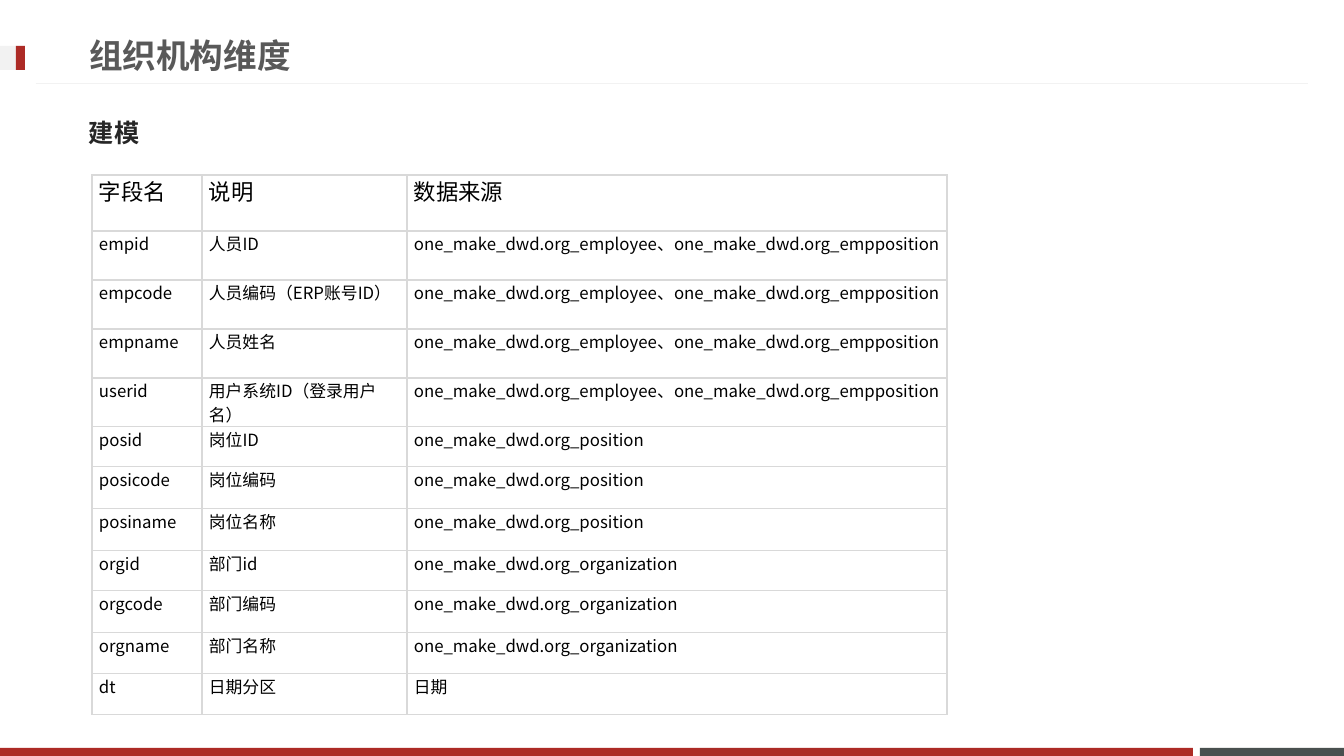
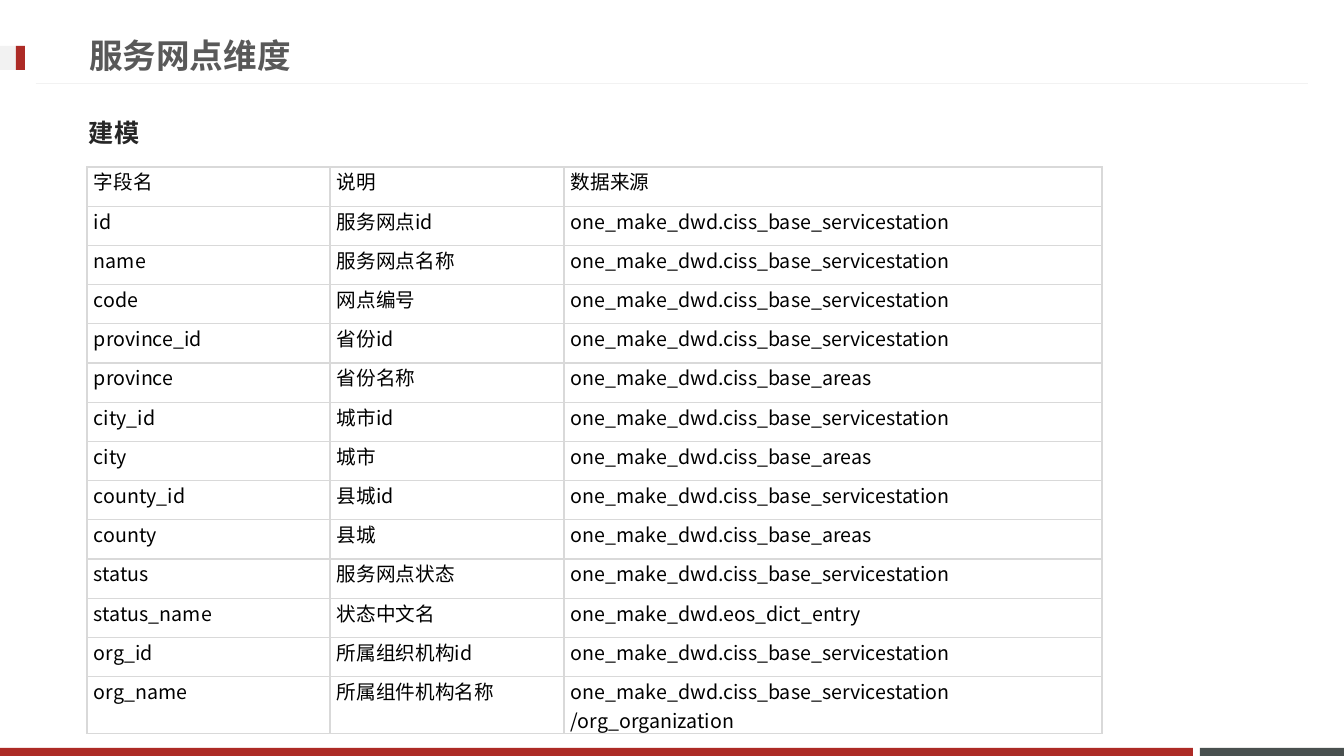
from lxml import etree
from pptx import Presentation
from pptx.dml.color import RGBColor
from pptx.enum import shapes, text
from pptx.oxml import ns
from pptx.util import Emu, Pt

# Shared look
EMU_PER_PX = 914400 / 100.8
WIDTH, HEIGHT = 1344, 756
RED = RGBColor(0xAD, 0x2B, 0x26)
SLATE = RGBColor(0x49, 0x50, 0x4F)
PALE = RGBColor(0xF2, 0xF2, 0xF2)
GRID = RGBColor(0xD9, 0xD9, 0xD9)
TITLE_GREY = RGBColor(0x59, 0x59, 0x59)
HEADING = RGBColor(0x26, 0x26, 0x26)
BLACK = RGBColor(0, 0, 0)
TITLE_FONT, HEADING_FONT, TABLE_FONT = "Roboto", "Noto Sans CJK JP", "Noto Sans CJK SC"

# Table content
HEADERS = ("字段名", "说明", "数据来源")
DWD = "one_make_dwd."
EMPLOYEE = f"{DWD}org_employee、{DWD}org_empposition"
POSITION = DWD + "org_position"
ORGANIZATION = DWD + "org_organization"
STATION = DWD + "ciss_base_servicestation"
AREAS = DWD + "ciss_base_areas"

ORG_FIELDS = [
    HEADERS,
    ("empid", "人员ID", EMPLOYEE),
    ("empcode", "人员编码（ERP账号ID）", EMPLOYEE),
    ("empname", "人员姓名", EMPLOYEE),
    ("userid", "用户系统ID（登录用户名）", EMPLOYEE),
    ("posid", "岗位ID", POSITION),
    ("posicode", "岗位编码", POSITION),
    ("posiname", "岗位名称", POSITION),
    ("orgid", "部门id", ORGANIZATION),
    ("orgcode", "部门编码", ORGANIZATION),
    ("orgname", "部门名称", ORGANIZATION),
    ("dt", "日期分区", "日期"),
]
STATION_FIELDS = [
    HEADERS,
    ("id", "服务网点id", STATION),
    ("name", "服务网点名称", STATION),
    ("code", "网点编号", STATION),
    ("province_id", "省份id", STATION),
    ("province", "省份名称", AREAS),
    ("city_id", "城市id", STATION),
    ("city", "城市", AREAS),
    ("county_id", "县城id", STATION),
    ("county", "县城", AREAS),
    ("status", "服务网点状态", STATION),
    ("status_name", "状态中文名", DWD + "eos_dict_entry"),
    ("org_id", "所属组织机构id", STATION),
    ("org_name", "所属组件机构名称", STATION + "\n/org_organization"),
]


def px(length):
    return Emu(round(length * EMU_PER_PX))


def write(frame, content, *, size, font, color, bold=False,
          anchor=text.MSO_ANCHOR.MIDDLE):
    """Fill a text frame, one paragraph per line of content."""
    frame.word_wrap = True
    frame.vertical_anchor = anchor
    frame.text = content
    for paragraph in frame.paragraphs:
        paragraph.alignment = text.PP_ALIGN.LEFT
        for run in paragraph.runs:
            run.font.size, run.font.bold = Pt(size), bold
            run.font.color.rgb = color
            run.font.name = font
            east_asian = etree.SubElement(run.font._element, ns.qn("a:ea"))
            east_asian.set("typeface", TABLE_FONT if font == TITLE_FONT else font)


def add_block(slide, left, top, width, height, color):
    block = slide.shapes.add_shape(shapes.MSO_SHAPE.RECTANGLE,
                                   px(left), px(top), px(width), px(height))
    block.shadow.inherit = False
    block.fill.solid()
    block.fill.fore_color.rgb = color
    block.line.fill.background()


def add_rule(slide, left, right, y):
    rule = slide.shapes.add_connector(shapes.MSO_CONNECTOR.STRAIGHT,
                                      px(left), px(y), px(right), px(y))
    rule.line.color.rgb = PALE
    rule.line.width = Pt(0.75)
    etree.SubElement(rule._element.spPr, ns.qn("a:effectLst"))


def add_borders(cell):
    properties = cell._tc.get_or_add_tcPr()
    for side in ("a:lnL", "a:lnR", "a:lnT", "a:lnB"):
        border = etree.SubElement(properties, ns.qn(side), w=str(Pt(1)))
        fill = etree.SubElement(border, ns.qn("a:solidFill"))
        etree.SubElement(fill, ns.qn("a:srgbClr"), val=str(GRID))


def add_field_table(slide, fields, *, left, top, widths, heights, size, header_size):
    table = slide.shapes.add_table(len(fields), len(widths), px(left), px(top),
                                   px(sum(widths)), px(sum(heights))).table
    table.first_row = table.horz_banding = False
    for column, width in zip(table.columns, widths):
        column.width = px(width)
    for index, (row, height, values) in enumerate(zip(table.rows, heights, fields)):
        row.height = px(height)
        for cell, value in zip(row.cells, values):
            cell.margin_left = cell.margin_right = px(7)
            cell.margin_top = cell.margin_bottom = 0
            add_borders(cell)
            cell.fill.background()
            write(cell.text_frame, value, size=size if index else header_size,
                  font=TABLE_FONT, color=BLACK, anchor=text.MSO_ANCHOR.TOP)
            cell.vertical_anchor = text.MSO_ANCHOR.TOP


def add_dimension_slide(deck, title, heading):
    """Title-only slide with the shared bands, title and heading."""
    slide = deck.slides.add_slide(deck.slide_layouts[5])

    # Footer bands, header rule and side tab
    add_block(slide, 1200, 748, WIDTH - 1200, 8, SLATE)
    add_block(slide, 0, 748, 1193, 8, RED)
    add_rule(slide, 36, 1308, 84)
    add_block(slide, 0, 46, 25, 24, PALE)
    add_block(slide, 16, 46, 9, 24, RED)

    # Title and heading
    holder = slide.shapes.title
    holder.left, holder.top, holder.width, holder.height = map(px, (79, 26, 967, 58))
    holder.text_frame.auto_size = text.MSO_AUTO_SIZE.NONE
    write(holder.text_frame, title, size=24, font=TITLE_FONT,
          color=TITLE_GREY, bold=True)
    subtitle = slide.shapes.add_textbox(px(79), px(104), px(1179), px(57))
    write(subtitle.text_frame, heading, size=18, font=HEADING_FONT,
          color=HEADING, bold=True)
    return slide


def main():
    deck = Presentation()
    deck.slide_width, deck.slide_height = px(WIDTH), px(HEIGHT)

    organization = add_dimension_slide(deck, "组织机构维度", "建模")
    add_field_table(organization, ORG_FIELDS, left=92, top=175,
                    widths=(110, 205, 540),
                    heights=[56] + [49] * 4 + [40, 42, 42, 40, 42, 41, 41],
                    size=12, header_size=16)

    station = add_dimension_slide(deck, "服务网点维度", "建模")
    single_rows = len(STATION_FIELDS) - 1
    add_field_table(station, STATION_FIELDS, left=87, top=167,
                    widths=(243, 234, 538),
                    heights=[510 / single_rows] * single_rows + [57],
                    size=14, header_size=14)

    deck.save("out.pptx")


if __name__ == "__main__":
    main()
